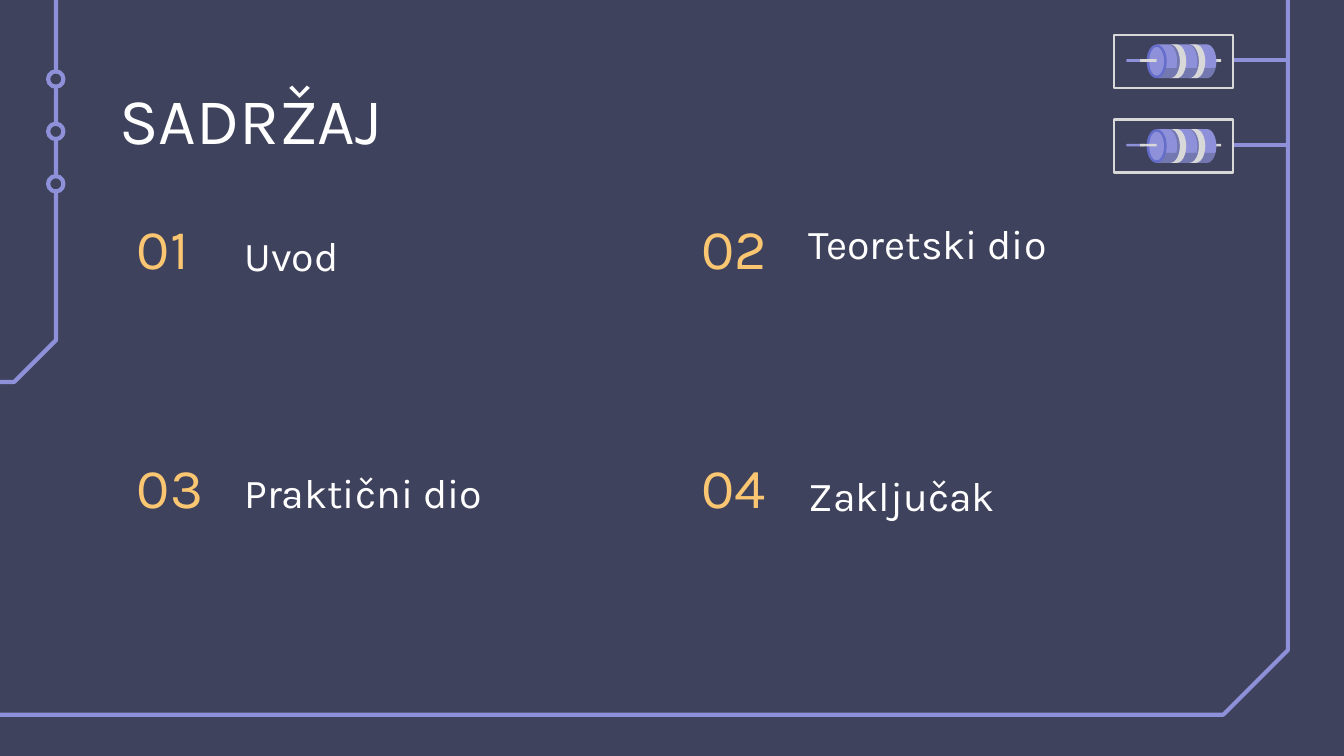
"""Build the SADRŽAJ contents slide with its circuit decoration."""
import math

import lxml.etree
import pptx
import pptx.dml.color
import pptx.enum.shapes
import pptx.enum.text
import pptx.oxml.ns
import pptx.util

Cm, Pt = pptx.util.Cm, pptx.util.Pt
RGBColor = pptx.dml.color.RGBColor
MSO_SHAPE = pptx.enum.shapes.MSO_SHAPE
MSO_ANCHOR = pptx.enum.text.MSO_ANCHOR
qn = pptx.oxml.ns.qn

NAVY = RGBColor(0x3F, 0x42, 0x5C)
LILAC = RGBColor(0x8E, 0x91, 0xDA)
INDIGO = RGBColor(0x64, 0x6D, 0xC9)
SHADE = RGBColor(0x48, 0x4C, 0x69)
SILVER = RGBColor(0xD8, 0xD8, 0xD8)
AMBER = RGBColor(0xFA, 0xC6, 0x71)
WHITE = RGBColor(0xFF, 0xFF, 0xFF)

TRACE = 2.25
RADIUS_X, RADIUS_Y = 0.18, 0.32
SHADE_ANGLE = 24


def paint(sp, fill=None, line=None, weight=TRACE):
    """Set fill and outline, leaving out whichever is None."""
    sp.shadow.inherit = False
    if fill is None:
        sp.fill.background()
    else:
        sp.fill.solid()
        sp.fill.fore_color.rgb = fill
    if line is None:
        sp.line.fill.background()
    else:
        sp.line.color.rgb = line
        sp.line.width = Pt(weight)
    return sp


def add_preset(shapes, kind, left, top, width, height, **style):
    """Add a preset shape placed in centimetres."""
    sp = shapes.add_shape(kind, Cm(left), Cm(top), Cm(width), Cm(height))
    return paint(sp, **style)


def add_path(shapes, points, close=True, **style):
    """Add a freeform through points given in centimetres."""
    points = [(Cm(x), Cm(y)) for x, y in points]
    builder = shapes.build_freeform(*points[0])
    builder.add_line_segments(points[1:], close=close)
    return paint(builder.convert_to_shape(), **style)


def add_wire(shapes, x1, x2, y):
    """Add a horizontal circuit trace."""
    c = shapes.add_connector(
        pptx.enum.shapes.MSO_CONNECTOR.STRAIGHT, Cm(x1), Cm(y), Cm(x2), Cm(y))
    c.line.color.rgb = LILAC
    c.line.width = Pt(TRACE)
    lxml.etree.SubElement(c._element.spPr, qn("a:effectLst"))


def arc(x, y, start=-90, end=90, steps=12):
    """Return points on the cylinder's right-hand curve between two angles."""
    angles = [math.radians(start + (end - start) * i / steps)
              for i in range(steps + 1)]
    return [(x + RADIUS_X * math.cos(a), y + RADIUS_Y * math.sin(a))
            for a in angles]


def add_resistor(s, y):
    """Add a framed resistor centred on height y, wired to the right trace."""
    shapes = s.shapes.add_group_shape().shapes
    leads = [(21.29, 0.34, LILAC), (22.81, 0.27, SILVER)]
    for left, width, color in leads:
        add_preset(shapes, MSO_SHAPE.ROUNDED_RECTANGLE, left, y - 0.04,
                   width, 0.05, fill=color)
    add_path(shapes, [(21.87, y - RADIUS_Y)] + arc(22.81, y)
             + [(21.87, y + RADIUS_Y)], fill=LILAC)
    for rx, ry, color in [(0.19, 0.32, INDIGO), (0.14, 0.27, LILAC)]:
        add_preset(shapes, MSO_SHAPE.OVAL, 21.86 - rx, y - ry,
                   2 * rx, 2 * ry, fill=color)
    low = SHADE_ANGLE
    shade = add_path(
        shapes,
        arc(22.07, y, -90, low) + arc(21.87, y, low, 90)
        + arc(22.81, y, 90, low) + arc(22.58, y, low, -90)
        + arc(22.45, y, -90, low) + arc(22.2, y, low, -90),
        fill=SHADE)
    clr = shade._element.spPr.find(qn("a:solidFill")).find(qn("a:srgbClr"))
    lxml.etree.SubElement(clr, qn("a:alpha"), val="36000")
    for x in (22.48, 22.12):
        add_path(shapes, arc(x, y) + arc(x + 0.12, y, 90, -90), fill=SILVER)
    add_preset(shapes, MSO_SHAPE.ROUNDED_RECTANGLE, 21.55, y - 0.04,
               0.31, 0.05, fill=SILVER)
    add_preset(shapes, MSO_SHAPE.RECTANGLE, 21.05, y - 0.5, 2.25, 1,
               line=SILVER, weight=1.25)
    add_wire(shapes, 23.32, 24.32, y - 0.02)


def format_text(sp, text, size, color, anchor, spacing=None):
    """Fill a text shape with one left-aligned Karla paragraph."""
    tf = sp.text_frame
    tf.word_wrap = True
    tf.auto_size = pptx.enum.text.MSO_AUTO_SIZE.NONE
    tf.vertical_anchor = anchor
    tf.margin_left = tf.margin_right = Cm(0.25)
    tf.margin_top = tf.margin_bottom = Cm(0.25)
    p = tf.paragraphs[0]
    p.text = text
    p.alignment = pptx.enum.text.PP_ALIGN.LEFT
    p.line_spacing = spacing
    p.font.name = "Karla"
    p.font.size = Pt(size)
    p.font.color.rgb = color


def add_title(s, text):
    """Place and format the title placeholder."""
    sp = s.shapes.title
    sp.left, sp.top, sp.width, sp.height = Cm(2), Cm(1.25), Cm(21.41), Cm(1.6)
    format_text(sp, text, 35, WHITE, MSO_ANCHOR.TOP)


def add_entry(s, number, text, left, top, height):
    """Add a numbered contents entry."""
    sp = s.shapes.add_textbox(Cm(left), Cm(top), Cm(2.03), Cm(1.25))
    format_text(sp, number, 30, AMBER, MSO_ANCHOR.MIDDLE)
    sp = s.shapes.add_textbox(Cm(left + 2.03), Cm(top), Cm(8), Cm(height))
    format_text(sp, text, 22, WHITE, MSO_ANCHOR.BOTTOM, 1.15)


def add_traces(s):
    """Add the border traces and the three nodes on the left one."""
    add_path(s.shapes, [(24.34, -0.03), (24.34, 12.29), (23.12, 13.51),
                        (-0.05, 13.51)], close=False, line=LILAC)
    add_path(s.shapes, [(1.06, -0.15), (1.06, 6.43), (0.27, 7.22),
                        (-0.4, 7.22), (-0.74, 7.29)], close=False, line=LILAC)
    for i in range(3):
        add_preset(s.shapes, MSO_SHAPE.OVAL, 0.91, 1.35 + 0.99 * i,
                   0.29, 0.29, fill=NAVY, line=LILAC)


def main():
    """Assemble and save the slide."""
    prs = pptx.Presentation()
    prs.slide_width, prs.slide_height = Cm(25.4), Cm(14.29)
    s = prs.slides.add_slide(prs.slide_layouts[5])
    s.background.fill.solid()
    s.background.fill.fore_color.rgb = NAVY
    add_traces(s)
    add_title(s, "SADRŽAJ")
    entries = [("Uvod", 1.5), ("Teoretski dio", 1.27),
               ("Praktični dio", 1.45), ("Zaključak", 1.52)]
    for i, (text, height) in enumerate(entries):
        row, col = divmod(i, 2)
        add_entry(s, f"{i + 1:02}", text, 2.34 + 10.67 * col,
                  4.04 + 4.52 * row, height)
    for y in (1.16, 2.76):
        add_resistor(s, y)
    prs.save("out.pptx")


if __name__ == "__main__":
    main()
